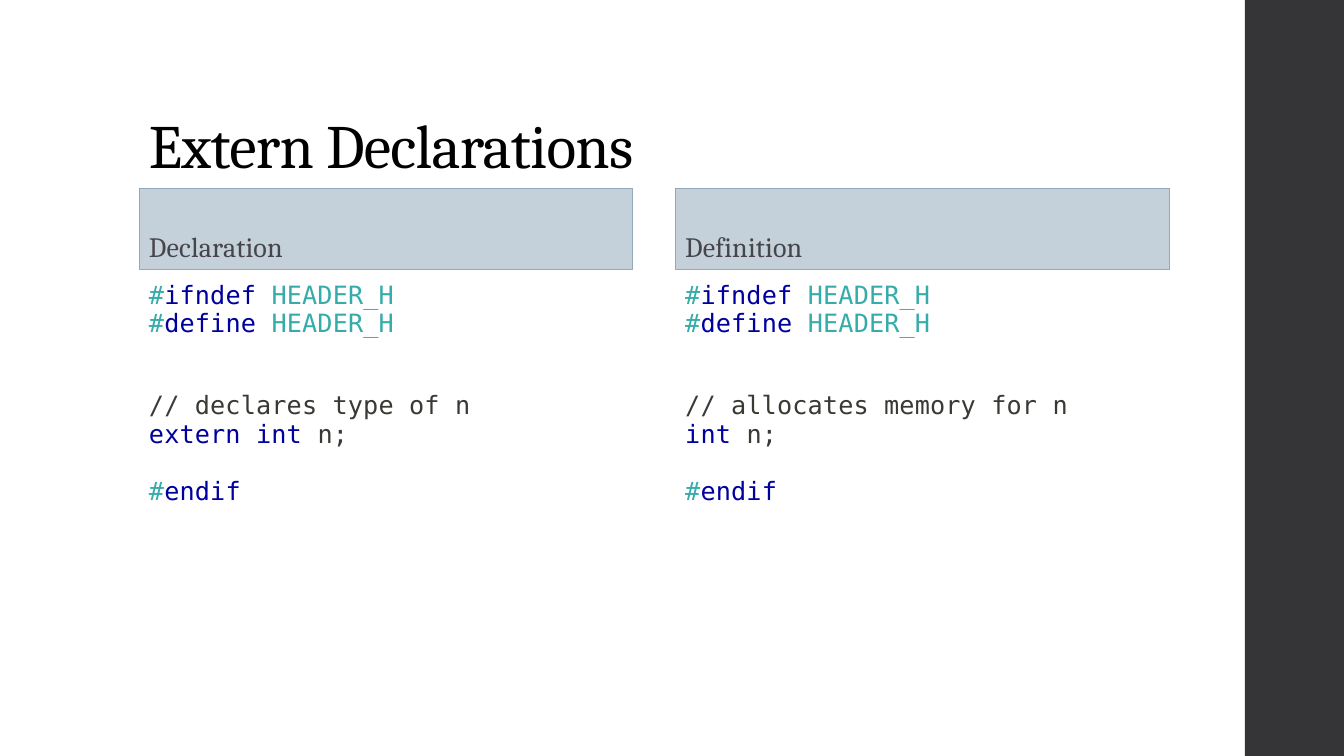
from pptx import Presentation
from pptx.dml.color import RGBColor
from pptx.enum.shapes import MSO_SHAPE
from pptx.enum.text import MSO_ANCHOR, PP_ALIGN
from pptx.util import Pt

BLACK = RGBColor(0x00, 0x00, 0x00)
SIDEBAR = RGBColor(0x35, 0x35, 0x37)
HEADER_FILL = RGBColor(0xC5, 0xD1, 0xDA)
HEADER_LINE = RGBColor(0x92, 0xA9, 0xB9)
HEADER_TEXT = RGBColor(0x46, 0x46, 0x4A)
MACRO = RGBColor(0x36, 0xAC, 0xAA)
KEYWORD = RGBColor(0x00, 0x00, 0x9F)
PLAIN = RGBColor(0x39, 0x3A, 0x34)

SERIF = "Cambria"
MONO = "DejaVu Sans Mono"
LEFT = 99.36
COLUMN_STEP = 383.04
COLUMN_WIDTH = 352.8
COLUMNS = [
    ("Declaration", "// declares type of n", "extern int"),
    ("Definition", "// allocates memory for n", "int"),
]


def add_span(para, text, color, tracking):
    """Append a coloured run with letter spacing in hundredths of a point."""
    span = para.add_run()
    span.text = text
    span.font.color.rgb = color
    span._r.get_or_add_rPr().set("spc", str(tracking))


def style_paragraph(para, font, size, spacing, before=0, after=0):
    """Set the font and spacing of a paragraph."""
    para.alignment = PP_ALIGN.LEFT
    para.font.name = font
    para.font.size = Pt(size)
    para.line_spacing = spacing
    para.space_before = Pt(before)
    para.space_after = Pt(after)


def add_text_box(page, left, top, width, height, anchor):
    """Add a wrapping text box and return its text frame."""
    box = page.shapes.add_textbox(Pt(left), Pt(top), Pt(width), Pt(height))
    box.text_frame.word_wrap = True
    box.text_frame.vertical_anchor = anchor
    return box.text_frame


def add_rectangle(page, left, top, width, height, fill):
    """Add a flat filled rectangle without an outline."""
    box = page.shapes.add_shape(
        MSO_SHAPE.RECTANGLE, Pt(left), Pt(top), Pt(width), Pt(height)
    )
    box.shadow.inherit = False
    box.fill.solid()
    box.fill.fore_color.rgb = fill
    box.line.fill.background()
    return box


def add_title(page, text):
    """Add the slide title."""
    frame = add_text_box(page, LEFT, 28.8, 763.2, 104.4, MSO_ANCHOR.BOTTOM)
    para = frame.paragraphs[0]
    style_paragraph(para, SERIF, 44, 0.9)
    add_span(para, text, BLACK, -50)


def add_header(page, left, text):
    """Add the outlined heading of a column."""
    box = add_rectangle(page, left, 134.64, COLUMN_WIDTH, 57.6, HEADER_FILL)
    box.line.color.rgb = HEADER_LINE
    box.line.width = Pt(0.75)
    box.text_frame.word_wrap = True
    box.text_frame.vertical_anchor = MSO_ANCHOR.BOTTOM
    para = box.text_frame.paragraphs[0]
    style_paragraph(para, SERIF, 20, 0.95, after=2)
    add_span(para, text, HEADER_TEXT, 10)


def add_code(page, left, blocks):
    """Add code blocks, each with its space before and its lines of spans."""
    frame = add_text_box(page, left, 197.28, COLUMN_WIDTH, 288.72, MSO_ANCHOR.TOP)
    for index, (before, lines) in enumerate(blocks):
        para = frame.add_paragraph() if index else frame.paragraphs[0]
        style_paragraph(para, MONO, 18, 0.95, before, 2)
        for number, line in enumerate(lines):
            if number:
                para.add_line_break()
            for text, color in line:
                add_span(para, text, color, 10)


def directive(keyword, argument=""):
    """Return the coloured spans of a preprocessor line."""
    spans = [("#", MACRO), (keyword, KEYWORD)]
    return spans + [(f" {argument}", MACRO)] if argument else spans


def main():
    """Build and save the slide."""
    deck = Presentation()
    deck.slide_width, deck.slide_height = Pt(960), Pt(540)
    page = deck.slides.add_slide(deck.slide_layouts[6])
    add_rectangle(page, 889.2, 0, 70.8, 540, SIDEBAR)
    add_title(page, "Extern Declarations")
    for index, (heading, comment, keyword) in enumerate(COLUMNS):
        left = LEFT + index * COLUMN_STEP
        add_header(page, left, heading)
        guard = [directive("ifndef", "HEADER_H"), directive("define", "HEADER_H")]
        statement = [[(comment, PLAIN)], [(keyword, KEYWORD), (" n;", PLAIN)]]
        blocks = [(0, guard), (36, statement), (18, [directive("endif")])]
        add_code(page, left, blocks)
    deck.save("out.pptx")


if __name__ == "__main__":
    main()
